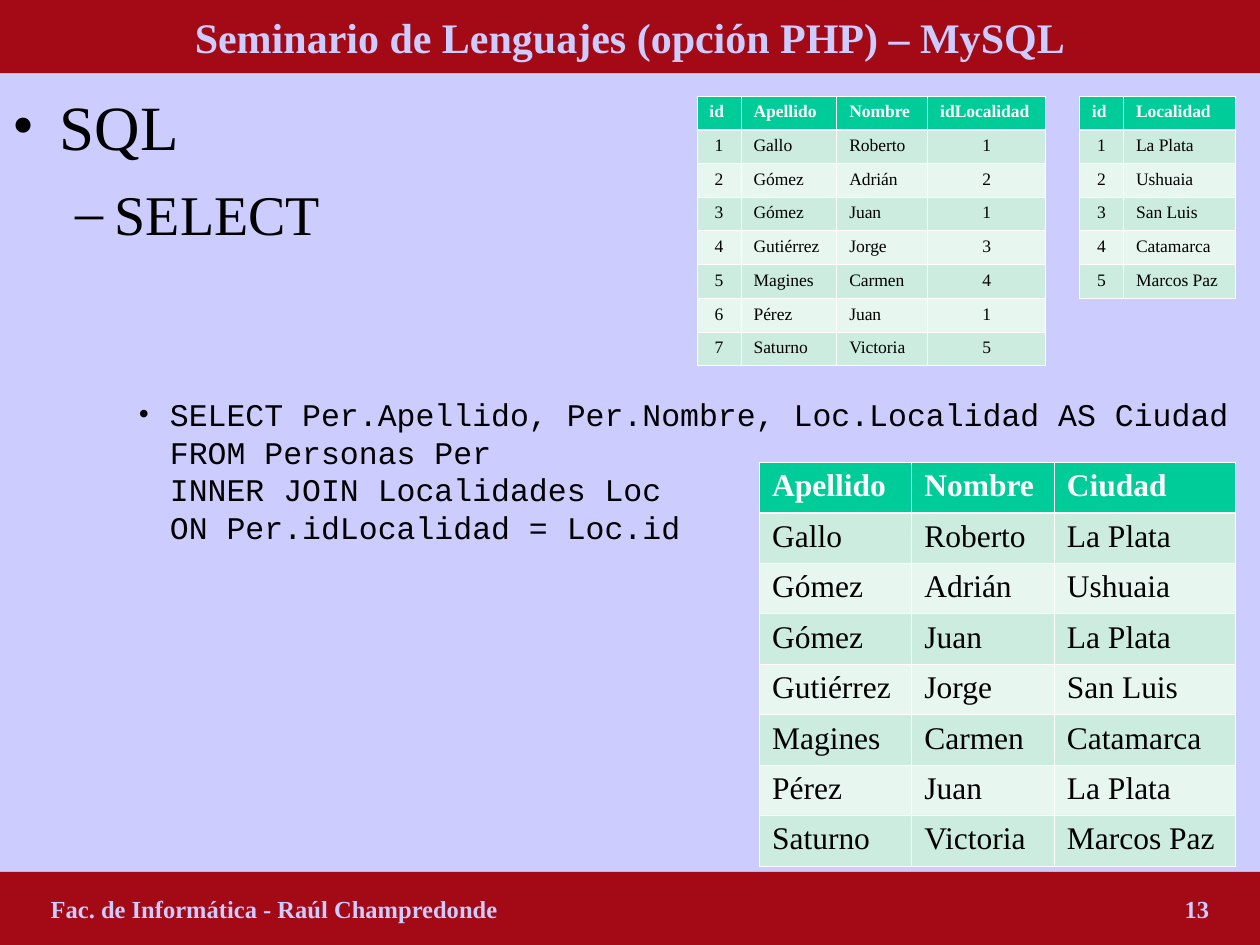
from dataclasses import dataclass

from pptx import Presentation
from pptx.dml.color import RGBColor
from pptx.enum.shapes import MSO_SHAPE
from pptx.enum.text import MSO_ANCHOR, MSO_AUTO_SIZE, PP_ALIGN
from pptx.oxml.ns import qn
from pptx.util import Pt
from lxml import etree

RECT = MSO_SHAPE.RECTANGLE
MIDDLE = MSO_ANCHOR.MIDDLE
NO_FIT = MSO_AUTO_SIZE.NONE
LEFT, CENTER = PP_ALIGN.LEFT, PP_ALIGN.CENTER

COLORS = {
    "background": "CCCCFF",
    "band": "A30A16",
    "header": "00CC99",
    "odd": "CBECDE",
    "even": "E7F6EF",
    "white": "FFFFFF",
    "black": "000000",
}
SERIF, MONO = "Times New Roman", "Courier New"
WIDTH, HEIGHT, BAND_HEIGHT = 720, 540, 41.8
MARGIN = 29
TABLE_RIGHT = 706
THIN, THICK = 0.45, 1.47


@dataclass
class Bullet:
    lines: list[str]
    level: int
    mark: str
    size: float
    font: str
    left: float
    hang: float
    before: float = 0
    spacing: float | None = None


@dataclass
class Grid:
    right: float
    top: float
    widths: list[float]
    row_height: float
    size: float
    header: list[str]
    rows: list[tuple]


PEOPLE = [
    (1, "Gallo", "Roberto", 1),
    (2, "Gómez", "Adrián", 2),
    (3, "Gómez", "Juan", 1),
    (4, "Gutiérrez", "Jorge", 3),
    (5, "Magines", "Carmen", 4),
    (6, "Pérez", "Juan", 1),
    (7, "Saturno", "Victoria", 5),
]
TOWNS = {1: "La Plata", 2: "Ushuaia", 3: "San Luis", 4: "Catamarca", 5: "Marcos Paz"}
JOINED = [(surname, name, TOWNS[town]) for _, surname, name, town in PEOPLE]

GRIDS = [
    Grid(597.6, 54.9, [25.2, 54.7, 52, 67.5], 19.2, 10,
         ["id", "Apellido", "Nombre", "idLocalidad"], PEOPLE),
    Grid(TABLE_RIGHT, 54.9, [25.2, 64], 19.2, 10, ["id", "Localidad"], list(TOWNS.items())),
    Grid(TABLE_RIGHT, 264.2, [87, 81.5, 103.5], 28.8, 18,
         ["Apellido", "Nombre", "Ciudad"], JOINED),
]

BULLETS = [
    Bullet(["SQL"], 0, "•", 36, SERIF, 27, 27),
    Bullet(["SELECT"], 1, "–", 32, SERIF, 58.5, 22.5, before=9.5),
    Bullet(
        [
            "SELECT Per.Apellido, Per.Nombre, Loc.Localidad AS Ciudad",
            "FROM Personas Per",
            "INNER JOIN Localidades Loc",
            "ON Per.idLocalidad = Loc.id",
        ],
        2, "•", 18, MONO, 90, 18, before=85, spacing=21.5,
    ),
]


def rgb(name: str) -> RGBColor:
    return RGBColor.from_string(COLORS[name])


def add_run(p, text: str, size: float, color: str, bold: bool = False, font: str = SERIF) -> None:
    r = p.add_run()
    r.text = text
    r.font.name = font
    r.font.size = Pt(size)
    r.font.bold = bold
    r.font.color.rgb = rgb(color)


def format_band(s, top: float) -> None:
    s.left, s.top, s.width, s.height = Pt(0), Pt(top), Pt(WIDTH), Pt(BAND_HEIGHT)
    s.fill.solid()
    s.fill.fore_color.rgb = rgb("band")
    s.line.fill.background()
    s.text_frame.vertical_anchor = MIDDLE
    s.text_frame.auto_size = NO_FIT


def add_title(slide) -> None:
    s = slide.shapes.title
    format_band(s, 0)
    p = s.text_frame.paragraphs[0]
    p.alignment = CENTER
    add_run(p, "Seminario de Lenguajes (opción PHP) – MySQL", 24, "background", True)


def add_footer(slide) -> None:
    top = HEIGHT - BAND_HEIGHT
    s = slide.shapes.add_shape(RECT, Pt(0), Pt(top), Pt(WIDTH), Pt(BAND_HEIGHT))
    s.shadow.inherit = False
    format_band(s, top)
    tf = s.text_frame
    tf.margin_left = tf.margin_right = Pt(MARGIN)
    p = tf.paragraphs[0]
    p.alignment = LEFT
    tabs = etree.SubElement(p._p.get_or_add_pPr(), qn("a:tabLst"))
    etree.SubElement(tabs, qn("a:tab"), pos=str(Pt(WIDTH - 2 * MARGIN)), algn="r")
    add_run(p, "Fac. de Informática - Raúl Champredonde\t13", 14, "background", True)


def add_bullets(slide, bullets: list[Bullet]) -> None:
    s = slide.shapes.add_textbox(
        Pt(0), Pt(BAND_HEIGHT), Pt(WIDTH), Pt(HEIGHT - 2 * BAND_HEIGHT))
    tf = s.text_frame
    tf.word_wrap = True
    tf.margin_top = Pt(8)
    for i, item in enumerate(bullets):
        p = tf.add_paragraph() if i else tf.paragraphs[0]
        p.level = item.level
        pPr = p._p.get_or_add_pPr()
        pPr.set("marL", str(Pt(item.left)))
        pPr.set("indent", str(-Pt(item.hang)))
        color = etree.SubElement(pPr, qn("a:buClr"))
        etree.SubElement(color, qn("a:srgbClr"), val=COLORS["black"])
        etree.SubElement(pPr, qn("a:buFont"), typeface=SERIF)
        etree.SubElement(pPr, qn("a:buChar"), char=item.mark)
        p.space_before = Pt(item.before)
        if item.spacing:
            p.line_spacing = Pt(item.spacing)
        for j, line in enumerate(item.lines):
            if j:
                p.add_line_break()
            add_run(p, line, item.size, "black", font=item.font)


def set_borders(cell, top: float, bottom: float) -> None:
    tcPr = cell._tc.get_or_add_tcPr()
    edges = {"a:lnL": THIN, "a:lnR": THIN, "a:lnT": top, "a:lnB": bottom}
    for tag, width in edges.items():
        line = etree.SubElement(tcPr, qn(tag), w=str(Pt(width)))
        fill = etree.SubElement(line, qn("a:solidFill"))
        etree.SubElement(fill, qn("a:srgbClr"), val=COLORS["white"])


def add_grid(slide, grid: Grid) -> None:
    rows = [grid.header, *grid.rows]
    width = sum(grid.widths)
    table = slide.shapes.add_table(
        len(rows), len(grid.widths), Pt(grid.right - width), Pt(grid.top),
        Pt(width), Pt(grid.row_height * len(rows))).table
    table.first_row = table.horz_banding = False
    for column, column_width in zip(table.columns, grid.widths):
        column.width = Pt(column_width)
    for i, values in enumerate(rows):
        table.rows[i].height = Pt(grid.row_height)
        fill = "header" if i == 0 else "odd" if i % 2 else "even"
        for j, value in enumerate(values):
            cell = table.cell(i, j)
            set_borders(cell, THICK if i == 1 else THIN, THICK if i == 0 else THIN)
            cell.fill.solid()
            cell.fill.fore_color.rgb = rgb(fill)
            p = cell.text_frame.paragraphs[0]
            p.alignment = CENTER if isinstance(value, int) else LEFT
            add_run(p, str(value), grid.size, "black" if i else "white", i == 0)


def main() -> None:
    prs = Presentation()
    prs.slide_width, prs.slide_height = Pt(WIDTH), Pt(HEIGHT)
    slide = prs.slides.add_slide(prs.slide_layouts[5])
    slide.background.fill.solid()
    slide.background.fill.fore_color.rgb = rgb("background")
    add_title(slide)
    add_bullets(slide, BULLETS)
    add_footer(slide)
    for grid in GRIDS:
        add_grid(slide, grid)
    prs.save("out.pptx")


if __name__ == "__main__":
    main()
